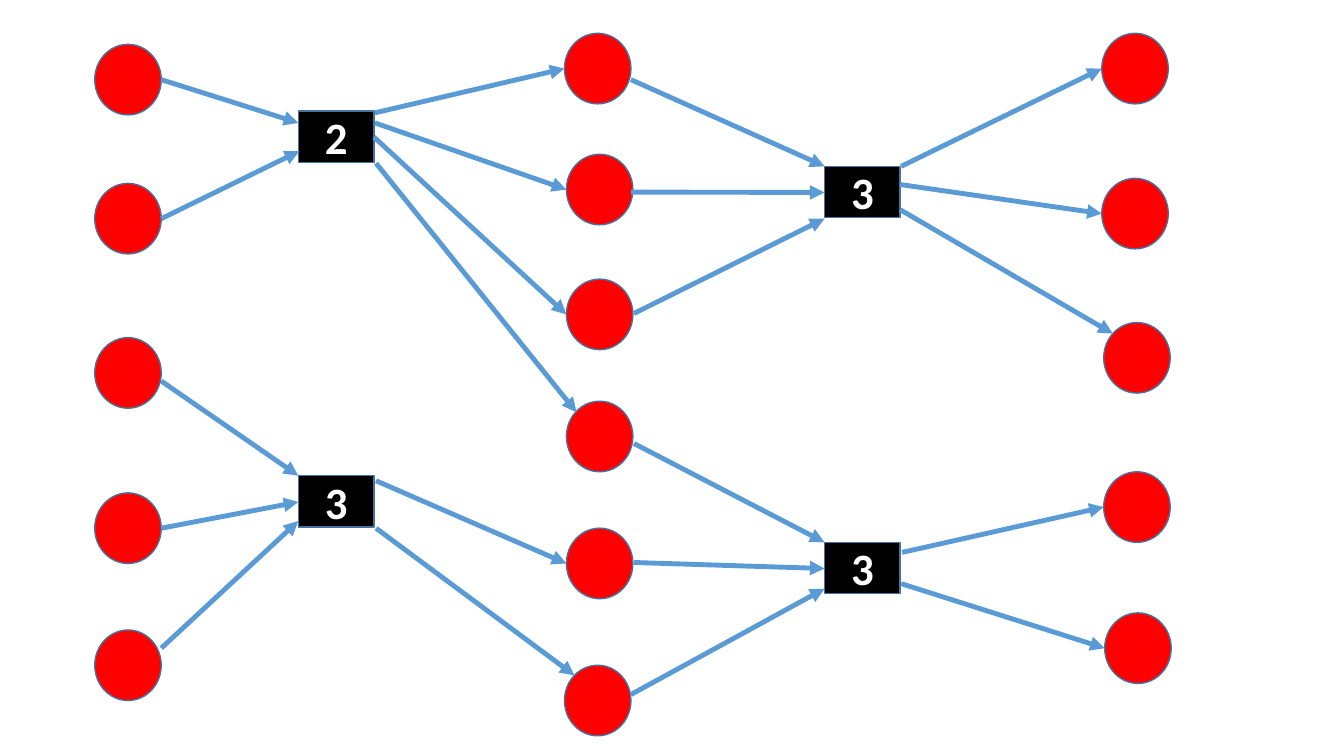
from lxml.etree import SubElement
from pptx import Presentation
from pptx.dml.color import RGBColor
from pptx.enum.shapes import MSO_CONNECTOR, MSO_SHAPE
from pptx.enum.text import MSO_ANCHOR, PP_ALIGN
from pptx.oxml.ns import qn
from pptx.util import Pt

PLACE_SIZE = (47.5, 50.4)
TRANSITION_SIZE = (54, 36.7)
OUTLINE = "43739E"
TOKEN_FONT = {"name": "Calibri", "size": Pt(32), "bold": True}

PLACES = {
    67.7: [31.7, 131, 241.2, 352.1, 450],
    403.2: [23.8, 475.2],
    404.6: [110.2, 199.4, 286.6, 377.3],
    787: [23.8, 127.4],
    788.4: [230.4, 337],
    789.1: [437.8],
}

TRANSITIONS = [
    {
        "label": "2", "at": (213.1, 79.2),
        "inputs": [(115.2, 56.9, 213.1, 87.8), (115.2, 156.2, 213.8, 108)],
        "outputs": [(267.8, 80.6, 403.2, 49), (267.8, 87.8, 404.6, 135.4),
                    (267.1, 97.9, 404.6, 224.6), (268.6, 116.6, 411.8, 294.5)],
    },
    {
        "label": "3", "at": (213.1, 339.8),
        "inputs": [(115.2, 272.2, 213.1, 339.8), (115.2, 377.3, 213.1, 358.6),
                   (115.2, 463, 213.1, 372.2)],
        "outputs": [(268.6, 343.4, 404.6, 402.5), (268.6, 377.3, 410.4, 482.4)],
    },
    {
        "label": "3", "at": (589, 118.8),
        "inputs": [(450.7, 56.9, 589, 118.8), (450.7, 137.2, 589, 137.5),
                   (452.9, 223.9, 589, 156.2)],
        "outputs": [(643.7, 118.8, 787, 49), (643, 131.8, 787, 152.6),
                    (643, 149.8, 794.9, 238.3)],
    },
    {
        "label": "3", "at": (589, 387.4),
        "inputs": [(452.9, 316.8, 589, 387.4), (452.9, 401.8, 589, 406.1),
                   (450.7, 496.1, 589, 420.5)],
        "outputs": [(644.4, 394.6, 788.4, 362.2), (643.7, 416.9, 789.1, 463)],
    },
]


def paint(color_format, color):
    color_format.rgb = RGBColor.from_string(color)


def add_node(slide, kind, position, size, fill):
    shape = slide.shapes.add_shape(kind, *map(Pt, position + size))
    shape.shadow.inherit = False
    shape.fill.solid()
    paint(shape.fill.fore_color, fill)
    paint(shape.line.color, OUTLINE)
    shape.line.width = Pt(1)
    return shape


def add_place(slide, left, top):
    add_node(slide, MSO_SHAPE.OVAL, (left, top), PLACE_SIZE, "FF0000")


def add_transition(slide, position, label):
    shape = add_node(slide, MSO_SHAPE.RECTANGLE, position, TRANSITION_SIZE, "000000")
    shape.text_frame.vertical_anchor = MSO_ANCHOR.MIDDLE
    paragraph = shape.text_frame.paragraphs[0]
    paragraph.alignment = PP_ALIGN.CENTER
    run = paragraph.add_run()
    run.text = label
    for attribute, value in TOKEN_FONT.items():
        setattr(run.font, attribute, value)
    paint(run.font.color, "FFFFFF")


def add_arrow(slide, ends):
    connector = slide.shapes.add_connector(MSO_CONNECTOR.STRAIGHT, *map(Pt, ends))
    paint(connector.line.color, "5B9BD5")
    connector.line.width = Pt(3.5)
    properties = connector.element.spPr
    SubElement(properties.find(qn("a:ln")), qn("a:tailEnd"), type="triangle")
    SubElement(properties, qn("a:effectLst"))


def main():
    presentation = Presentation()
    presentation.slide_width = Pt(960)
    presentation.slide_height = Pt(540)
    slide = presentation.slides.add_slide(presentation.slide_layouts[6])
    for left, tops in PLACES.items():
        for top in tops:
            add_place(slide, left, top)
    for transition in TRANSITIONS:
        add_transition(slide, transition["at"], transition["label"])
        for ends in transition["inputs"] + transition["outputs"]:
            add_arrow(slide, ends)
    presentation.save("out.pptx")


if __name__ == "__main__":
    main()
